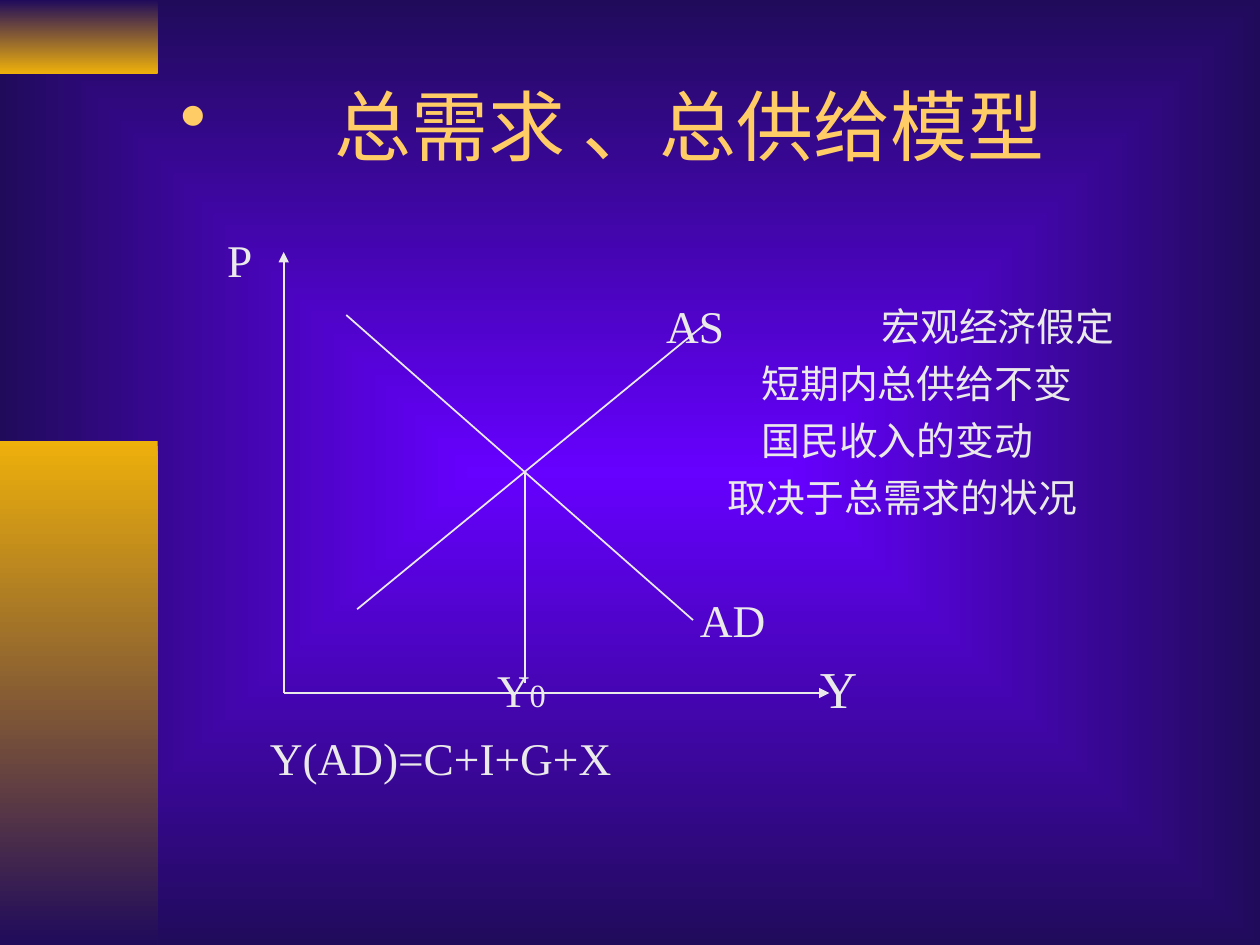
import lxml.etree
import pptx
import pptx.dml.color
import pptx.enum.shapes
import pptx.enum.text
import pptx.oxml.ns
import pptx.util

Cm = pptx.util.Cm
qn = pptx.oxml.ns.qn
COLORS = {"violet": "6600FF", "night": "200B5B", "gold": "EEB00B",
          "title": "FFCC66", "ink": "EAEAEA"}


def rgb(name):
    return pptx.dml.color.RGBColor.from_string(COLORS[name])


def add_text(paragraph, text, size=25.9, color="ink", font="Times New Roman"):
    run = paragraph.add_run()
    run.text = text
    run.font.size = pptx.util.Pt(size)
    run.font.name = font
    run.font.color.rgb = rgb(color)


class EconomicsSlide:
    """Holds the deck style and the current slide."""

    def __init__(self, deck):
        self.slide = deck.slides.add_slide(deck.slide_layouts[6])

    def gradient(self, fill, start, end):
        fill.gradient()
        for stop, color in zip(fill.gradient_stops, (start, end)):
            stop.color.rgb = rgb(color)

    def background(self, center, edge):
        self.gradient(self.slide.background.fill, center, edge)
        grad = self.slide.element.find(".//" + qn("a:gradFill"))
        grad.remove(grad.find(qn("a:lin")))
        glow = lxml.etree.SubElement(grad, qn("a:path"))
        glow.set("path", "rect")
        focus = lxml.etree.SubElement(glow, qn("a:fillToRect"))
        for side in "ltrb":
            focus.set(side, "50000")

    def bar(self, top, height, start, end):
        bar = self.slide.shapes.add_shape(
            pptx.enum.shapes.MSO_SHAPE.RECTANGLE, 0, Cm(top), Cm(3.18), Cm(height))
        bar.shadow.inherit = False
        bar.line.fill.background()
        self.gradient(bar.fill, start, end)
        bar.fill.gradient_angle = 270

    def frame(self, left, top, width, height, inset=True):
        frame = self.slide.shapes.add_textbox(
            Cm(left), Cm(top), Cm(width), Cm(height)).text_frame
        frame.word_wrap = True
        if not inset:
            frame.margin_left = frame.margin_right = 0
            frame.margin_top = frame.margin_bottom = 0
        return frame

    def title(self, text):
        frame = self.frame(3.39, 0.84, 21.59, 3.35)
        frame.vertical_anchor = pptx.enum.text.MSO_ANCHOR.MIDDLE
        heading = frame.paragraphs[0]
        props = heading._p.get_or_add_pPr()
        props.set("marL", str(Cm(3.1)))
        props.set("indent", str(Cm(-3.1)))
        bullet_color = lxml.etree.SubElement(props, qn("a:buClr"))
        lxml.etree.SubElement(bullet_color, qn("a:srgbClr")).set("val", COLORS["title"])
        lxml.etree.SubElement(props, qn("a:buChar")).set("char", "•")
        add_text(heading, text, size=44, color="title")

    def label(self, left, top, width, *parts):
        caption = self.frame(left, top, width, 1.1, inset=False).paragraphs[0]
        for text, size in parts:
            add_text(caption, text, size=size)

    def notes(self, left, top, lines):
        frame = self.frame(left, top, 9, 4.4, inset=False)
        for index, (text, indent) in enumerate(lines):
            note = frame.add_paragraph() if index else frame.paragraphs[0]
            note._p.get_or_add_pPr().set("marL", str(Cm(indent)))
            if index:
                note.space_before = pptx.util.Pt(6)
            add_text(note, text, size=22.2)

    def line(self, start, end, arrow=False):
        line = self.slide.shapes.add_connector(
            pptx.enum.shapes.MSO_CONNECTOR.STRAIGHT, *map(Cm, start + end))
        line.line.color.rgb = rgb("ink")
        line.line.width = pptx.util.Pt(1)
        if arrow:
            tail = lxml.etree.SubElement(line.line._get_or_add_ln(), qn("a:tailEnd"))
            tail.set("type", "triangle")
        lxml.etree.SubElement(line._element.spPr, qn("a:effectLst"))


def main():
    deck = pptx.Presentation()
    deck.slide_width, deck.slide_height = Cm(25.4), Cm(19.05)
    page = EconomicsSlide(deck)
    page.background("violet", "night")
    page.bar(0, 1.48, "night", "gold")
    page.bar(8.89, 10.16, "gold", "night")
    page.title("总需求 、总供给模型")

    origin = (5.72, 13.97)
    page.line(origin, (5.72, 5.08), arrow=True)
    page.line(origin, (16.72, 13.97), arrow=True)
    supply = ((7.2, 12.28), (14.18, 6.56))
    demand = ((6.98, 6.35), (13.97, 12.5))
    equilibrium = ((10.58, 9.53), (10.58, 13.76))
    for curve in (supply, demand, equilibrium):
        page.line(*curve)

    page.label(4.58, 4.68, 1, ("P", 25.9))
    page.label(13.43, 6.01, 2, ("AS", 25.9))
    page.label(14.11, 11.93, 2, ("AD", 25.9))
    page.label(10.02, 13.35, 2, ("Y", 25.9), ("0", 18.5))
    page.label(16.53, 13.24, 1.5, ("Y", 29.6))
    page.label(5.44, 14.72, 9, ("Y(AD)=C+I+G+X", 25.9))
    page.notes(14.67, 6.1, [("宏观经济假定", 3.1), ("短期内总供给不变", 0.68),
                            ("国民收入的变动", 0.68), ("取决于总需求的状况", 0)])
    deck.save("out.pptx")


if __name__ == "__main__":
    main()
